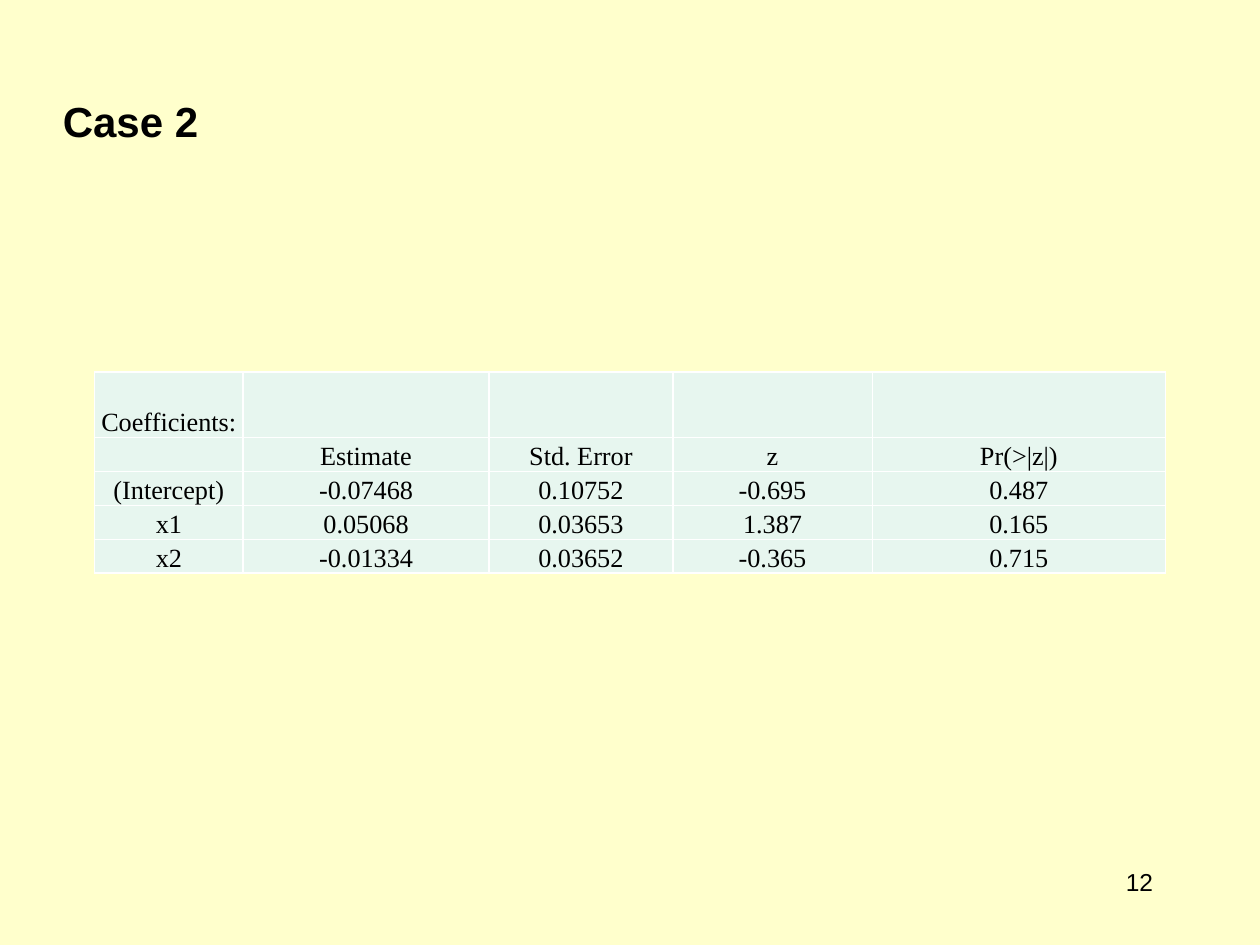
from lxml.etree import SubElement
from pptx import Presentation
from pptx.dml.color import RGBColor
from pptx.enum.text import MSO_ANCHOR, PP_ALIGN
from pptx.oxml.ns import qn
from pptx.util import Pt

COLORS = {"background": "FFFFCC", "cell": "E7F6EF", "border": "FFFFFF", "text": "000000"}
COLUMN_WIDTHS = [85, 140.5, 105, 114, 167.5]
ROW_HEIGHTS = [37.5] + [19.4] * 4
COEFFICIENTS = [
    ["Coefficients:", "", "", "", ""],
    ["", "Estimate", "Std. Error", "z", "Pr(>|z|)"],
    ["(Intercept)", "-0.07468", "0.10752", "-0.695", "0.487"],
    ["x1", "0.05068", "0.03653", "1.387", "0.165"],
    ["x2", "-0.01334", "0.03652", "-0.365", "0.715"],
]


def color(name):
    return RGBColor.from_string(COLORS[name])


def write(paragraph, text, size, font, align, bold=False):
    paragraph.alignment = align
    if not text:
        # Keeps an empty cell from growing to the default text size
        SubElement(paragraph._p, qn("a:endParaRPr"), sz=str(size * 100))
        return
    run = paragraph.add_run()
    run.text = text
    run.font.size = Pt(size)
    run.font.name = font
    run.font.bold = bold
    run.font.color.rgb = color("text")


def add_label(slide, box, text, size, align=PP_ALIGN.LEFT, bold=False):
    frame = slide.shapes.add_textbox(*map(Pt, box)).text_frame
    frame.word_wrap = True
    write(frame.paragraphs[0], text, size, "Arial", align, bold)


def add_borders(cell):
    properties = cell._tc.get_or_add_tcPr()
    for position, side in enumerate(("a:lnL", "a:lnR", "a:lnT", "a:lnB")):
        line = SubElement(properties, qn(side), w=str(Pt(1)))
        fill = SubElement(line, qn("a:solidFill"))
        SubElement(fill, qn("a:srgbClr"), val=COLORS["border"])
        properties.insert(position, line)


def fill_cell(cell, text):
    cell.fill.solid()
    cell.fill.fore_color.rgb = color("cell")
    cell.margin_left = cell.margin_right = cell.margin_top = Pt(0.72)
    cell.margin_bottom = Pt(0)
    cell.vertical_anchor = MSO_ANCHOR.BOTTOM
    write(cell.text_frame.paragraphs[0], text, 15, "Times New Roman", PP_ALIGN.CENTER)
    add_borders(cell)


def add_coefficient_table(slide, left, top):
    table = slide.shapes.add_table(
        len(ROW_HEIGHTS), len(COLUMN_WIDTHS), Pt(left), Pt(top),
        Pt(sum(COLUMN_WIDTHS)), Pt(sum(ROW_HEIGHTS))).table
    table.first_row = table.horz_banding = False
    for column, width in zip(table.columns, COLUMN_WIDTHS):
        column.width = Pt(width)
    for row, height, values in zip(table.rows, ROW_HEIGHTS, COEFFICIENTS):
        row.height = Pt(height)
        for cell, value in zip(row.cells, values):
            fill_cell(cell, value)


def main():
    presentation = Presentation()
    presentation.slide_width, presentation.slide_height = Pt(720), Pt(540)
    slide = presentation.slides.add_slide(presentation.slide_layouts[6])
    slide.background.fill.solid()
    slide.background.fill.fore_color.rgb = color("background")
    add_label(slide, (28.8, 51, 93, 65.5), "Case 2", 24, bold=True)
    add_coefficient_table(slide, 54, 212.5)
    add_label(slide, (516, 492, 150, 36), "12", 14, PP_ALIGN.RIGHT)
    presentation.save("out.pptx")


if __name__ == "__main__":
    main()
